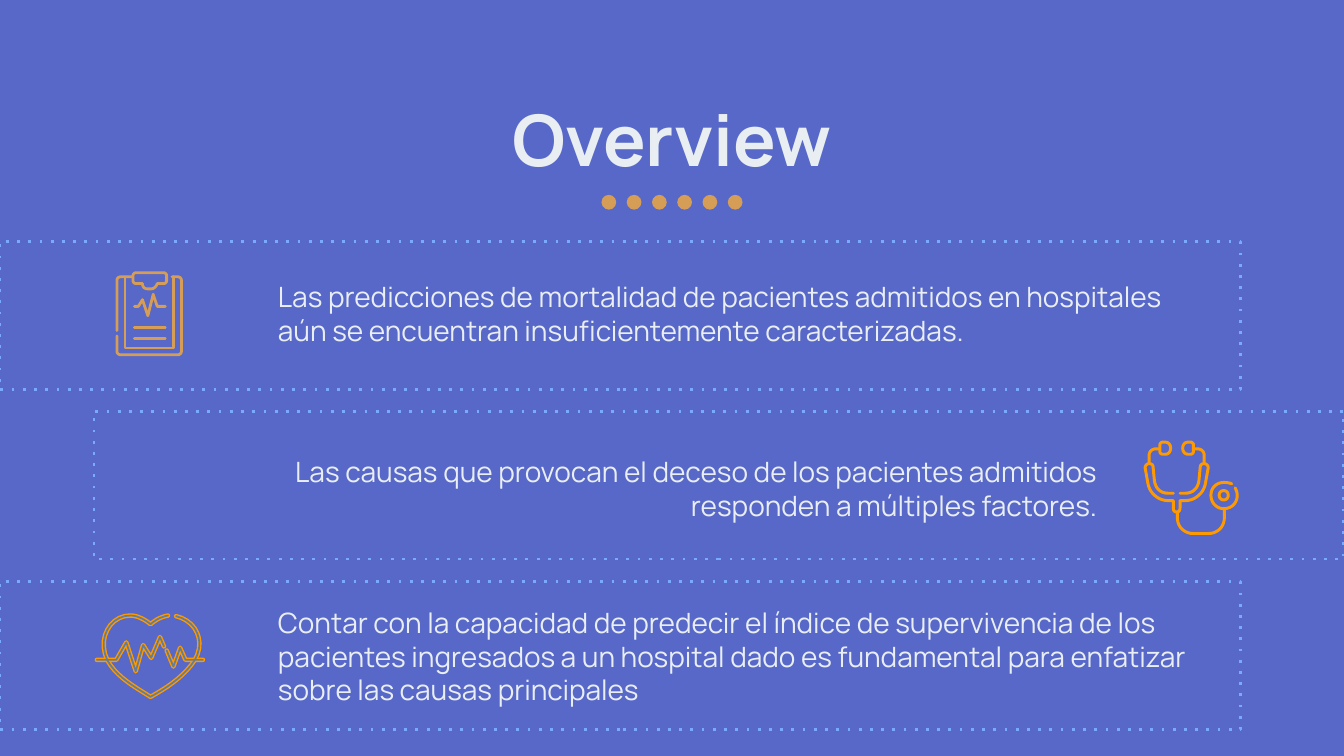
"""Build the overview slide on a grid of 1000 columns by 562.5 rows."""
import dataclasses
import typing

import lxml.etree
import pptx
import pptx.dml.color
import pptx.enum.shapes
import pptx.enum.text
import pptx.oxml.ns
import pptx.util

COLS, ROWS = 1000, 562.5
WIDE, HIGH = pptx.util.Inches(10), pptx.util.Inches(5.625)
FONT = "Manrope"
HUES = {
    "back": "364ABF", "text": "E9EEF2", "gold": "D69D56",
    "frame": "79AAFC", "orange": "FF9900", "slate": "657E93",
}
KIND = pptx.enum.shapes.MSO_SHAPE
ALIGN = pptx.enum.text.PP_ALIGN
ANCHOR = pptx.enum.text.MSO_ANCHOR
Point = tuple[float, float]


@dataclasses.dataclass
class Area:
    col: float
    row: float
    cols: float
    rows: float

    def emu(self) -> list[int]:
        return [across(self.col), down(self.row), across(self.cols), down(self.rows)]


@dataclasses.dataclass
class Band:
    frame: Area
    label: Area
    text: str
    align: typing.Any = ALIGN.LEFT


@dataclasses.dataclass
class Icon:
    strokes: list[str]
    hue: str
    width: float


def across(cols: float) -> int:
    return round(WIDE * cols / COLS)


def down(rows: float) -> int:
    return round(HIGH * rows / ROWS)


def color(hue: str) -> pptx.dml.color.RGBColor:
    return pptx.dml.color.RGBColor.from_string(HUES[hue])


def tag(node: typing.Any, name: str, **attrs: str) -> typing.Any:
    return lxml.etree.SubElement(node, pptx.oxml.ns.qn(name), **attrs)


def solid(slide: typing.Any, kind: typing.Any, area: Area, hue: str) -> typing.Any:
    shape = slide.shapes.add_shape(kind, *area.emu())
    shape.shadow.inherit = False
    shape.fill.solid()
    shape.fill.fore_color.rgb = color(hue)
    shape.line.fill.background()
    return shape


def outline(shape: typing.Any, hue: str, width: float) -> typing.Any:
    shape.shadow.inherit = False
    shape.fill.background()
    shape.line.color.rgb = color(hue)
    shape.line.width = pptx.util.Pt(width)
    return shape.element.spPr.find(pptx.oxml.ns.qn("a:ln"))


def write(slide: typing.Any, area: Area, text: str, size: float, align: typing.Any,
          anchor: typing.Any = ANCHOR.MIDDLE, bold: bool = False,
          pitch: float = 1.0) -> None:
    frame = slide.shapes.add_textbox(*area.emu()).text_frame
    frame.word_wrap = True
    frame.vertical_anchor = anchor
    frame.margin_left = frame.margin_right = pptx.util.Inches(0.1)
    frame.margin_top = frame.margin_bottom = pptx.util.Inches(0.1)
    para = frame.paragraphs[0]
    para.text = text
    para.alignment = align
    para.line_spacing = pitch
    para.font.name = FONT
    para.font.size = pptx.util.Pt(size)
    para.font.bold = bold
    para.font.color.rgb = color("text")


def trace(stroke: str, steps: int = 10) -> list[Point]:
    points: list[Point] = []
    for part in stroke.replace("C", "|C").replace("L", "|L").split("|"):
        nums = [float(num) for num in part[1:].split()]
        pairs = list(zip(nums[::2], nums[1::2]))
        if part[0] != "C":
            points += pairs
            continue
        hull = [points[-1], *pairs]
        for step in range(1, steps + 1):
            t = step / steps
            mix = ((1 - t) ** 3, 3 * t * (1 - t) ** 2, 3 * t * t * (1 - t), t ** 3)
            points.append((sum(m * p[0] for m, p in zip(mix, hull)),
                           sum(m * p[1] for m, p in zip(mix, hull))))
    return points


def flip(stroke: str, total: float) -> str:
    words = stroke.replace("M", "M ").replace("L", " L ").replace("C", " C ").split()
    result, level = [], True
    for word in words:
        if word in "MLC":
            result.append(word)
            continue
        result.append(str(total - float(word)) if level else word)
        level = not level
    return " ".join(result)


def draw(slide: typing.Any, icon: Icon) -> None:
    build = None
    for stroke in icon.strokes:
        points = [(across(col), down(row)) for col, row in trace(stroke)]
        if build is None:
            build = slide.shapes.build_freeform(*points[0], scale=1.0)
        else:
            build.move_to(*points[0])
        build.add_line_segments(points[1:], close=False)
    line = outline(build.convert_to_shape(), icon.hue, icon.width)
    line.set("cap", "rnd")
    tag(line, "a:round")


def fence(slide: typing.Any, band: Band) -> None:
    shape = slide.shapes.add_shape(KIND.RECTANGLE, *band.frame.emu())
    tag(outline(shape, "frame", 1.5), "a:prstDash", val="dot")
    write(slide, band.label, band.text, 15, band.align)


BANDS = [
    Band(Area(0, 180, 923, 110), Area(197, 198, 707, 70),
         "Las predicciones de mortalidad de pacientes admitidos en hospitales "
         "aún se encuentran insuficientemente caracterizadas."),
    Band(Area(70, 306, 930, 110), Area(119.5, 328.5, 707, 70),
         "Las causas que provocan el deceso de los pacientes admitidos "
         "responden a múltiples factores.", ALIGN.RIGHT),
    Band(Area(0, 433, 923, 110), Area(197, 453, 707, 70),
         "Contar con la capacidad de predecir el índice de supervivencia de los "
         "pacientes ingresados a un hospital dado es fundamental para enfatizar "
         "sobre las causas principales"),
]
BOARD = [
    "M87 246L87 209C87 207 88 206 90 206L98 206",
    "M128 206L132 206C134 206 135 207 135 209L135 261C135 263 134 264 132 264"
    "L90 264C88 264 87 263 87 261L87 250",
    "M93 206L93 259L129 259L129 206",
    "M101 203L122 203C123 203 124 204 124 205L124 209C124 210 123 211 122 211L117 211"
    "C116 214 114 215 112 215L110 215C108 215 106 214 106 211L101 211"
    "C100 211 99 210 99 209L99 205C99 204 100 203 101 203",
    "M100 228L103 228L106 223L110 235L114 219L117 228L123 228",
    "M100 243.5L123 243.5",
    "M100 252L123 252",
]
EAR = [
    "M855 345L855 339C855 336 857 334 860 334L862 334",
    "M865 329L867 329C869.5 329 871 331 871 333.5C871 336 869.5 338 867 338L865 338"
    "C864 338 863 337 863 336L863 331C863 330 864 329 865 329",
    "M873 367L869 367C864 367 860 364 859 358L858 348C858 346 857 345 855 345"
    "C853 345 852 347 852 348L854 359C855 367 862 372.5 869 372.5L873 372.5"
    "L873 378C873 380 874 381 875.5 381",
]
SCOPE = EAR + [flip(stroke, 1751) for stroke in EAR] + [
    "M876 381L876 385C876 392 881 397 888 397L899 397C906 397 911 392 911 385L911 379",
    "M916.5 360C914 359 912 359 910.5 359C905 359 901 363 901 368.5"
    "C901 374 905 378.5 910.5 378.5C919 378.5 923 370 919 363",
    "M910.5 365C915 365 915 372 910.5 372C906 372 906 365 910.5 365",
]
HEART = [
    "M131 458.5C146 462 153 477 145 491C136 505 120 514 112 518.5"
    "C101 511.5 87 504 80 491.5C72 475 82 458 97 458C102 458 108 461 112 464.5"
    "C116 461 120 459 125 458",
    "M72 491L86.5 491L94 478L101 499.5L106.5 480L112.5 489.5L119 474L122 481",
    "M124 484L129 496L134 482L138 491L151 491",
]
ICONS = [Icon(BOARD, "gold", 1.5), Icon(SCOPE, "orange", 1.6),
         Icon(HEART, "orange", 2.4), Icon(HEART, "slate", 0.9)]


def main() -> None:
    deck = pptx.Presentation()
    deck.slide_width, deck.slide_height = WIDE, HIGH
    slide = deck.slides.add_slide(deck.slide_layouts[6])
    back = solid(slide, KIND.RECTANGLE, Area(-5, -3, 1008, 569), "back")
    tint = back.element.spPr.find(".//" + pptx.oxml.ns.qn("a:srgbClr"))
    tag(tint, "a:alpha", val="83000")
    write(slide, Area(137.5, 64, 725, 81), "Overview", 38, ALIGN.CENTER,
          ANCHOR.BOTTOM, True, 0.9)
    for index in range(6):
        solid(slide, KIND.OVAL, Area(447.5 + 18.8 * index, 145, 11, 11), "gold")
    for band in BANDS:
        fence(slide, band)
    for icon in ICONS:
        draw(slide, icon)
    deck.save("out.pptx")


if __name__ == "__main__":
    main()
